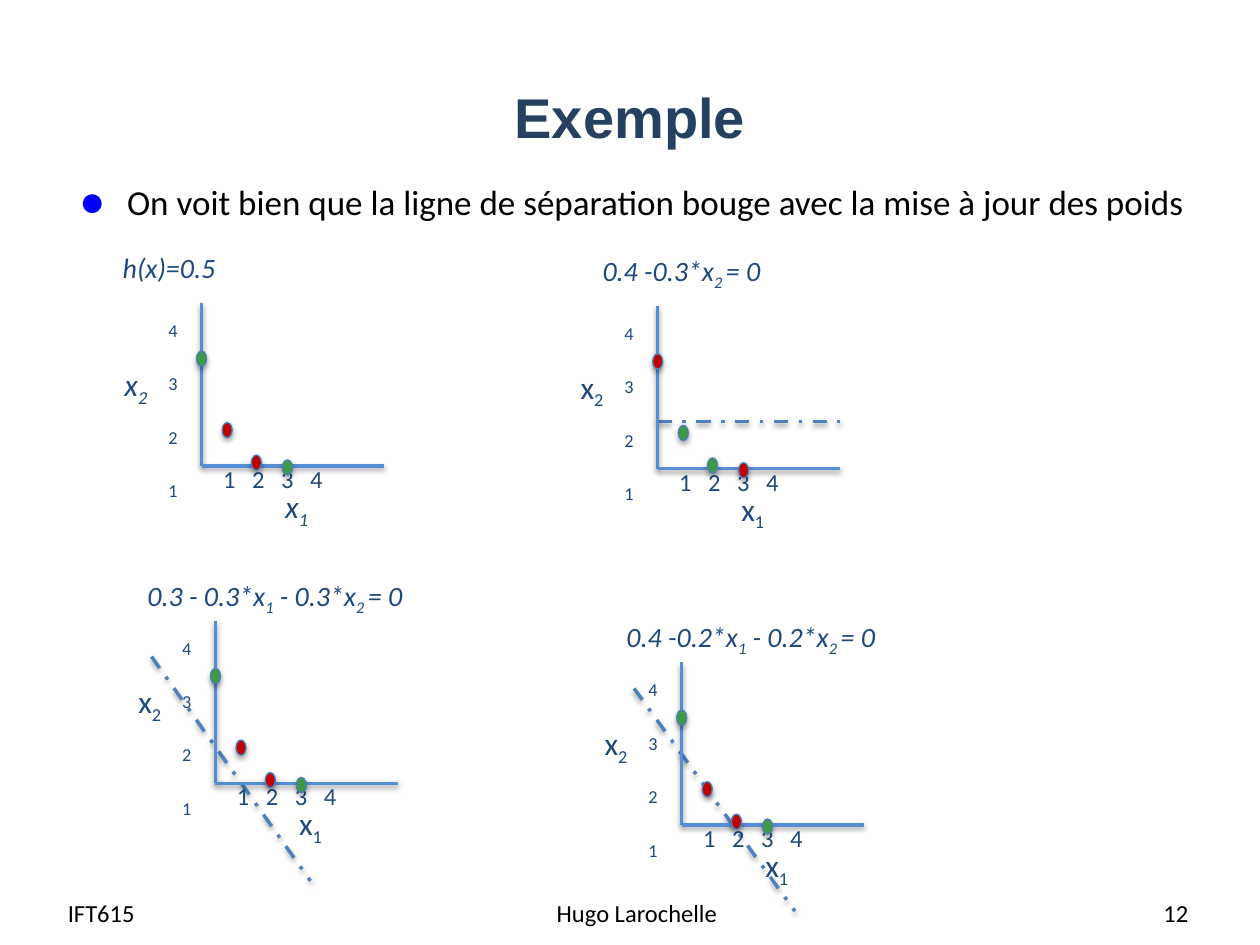
from dataclasses import dataclass
from lxml.etree import SubElement
from pptx import Presentation
from pptx.dml.color import RGBColor
from pptx.enum.dml import MSO_LINE
from pptx.enum.shapes import MSO_CONNECTOR, MSO_SHAPE
from pptx.enum.text import MSO_ANCHOR, MSO_AUTO_SIZE, PP_ALIGN
from pptx.oxml.ns import qn
from pptx.util import Inches, Pt


@dataclass(frozen=True)
class Theme:
    title: str = "254061"
    text: str = "000000"
    bullet: str = "0000FF"
    plot_text: str = "1F497D"
    axis: str = "558ED5"
    boundary: str = "4F81BD"
    dot_edge: str = "4B7EBC"
    red: str = "C00000"
    green: str = "3C9A41"
    title_size: int = 32
    body_size: int = 20
    label_size: int = 18
    equation_size: int = 16
    small_size: int = 14


THEME = Theme()
SLIDE_SIZE = (10, 7.5)
PLOT_SIZE = (14.5, 17.2)  # percent of the slide
DOT_SIZE = (0.08, 0.12)
TICK_PITCH = 0.23
DOT_PLACES = [(0.14, 0.78), (0.3, 0.98), (0, 0.34), (0.47, 1.01)]
RED_INSIDE = [THEME.red, THEME.red, THEME.green, THEME.green]
GREEN_INSIDE = [THEME.green, THEME.green, THEME.red, THEME.red]

# origin in percent of the slide; the rest in shares of the plot box
PLOTS = [
    dict(origin=(54.1, 70.1), equation="0.4 -0.2*x_1_ - 0.2*x_2 _= 0",
         equation_box=(-0.37, -0.3, 1.53), dots=RED_INSIDE,
         boundary=((-0.26, 0.16), (0.62, 1.53))),
    dict(origin=(16, 32.1), equation="h(x)=0.5",
         equation_box=(-0.5, -0.36, 0.66), dots=RED_INSIDE, label_italic=True),
    dict(origin=(52.2, 32.4), equation="0.4 -0.3*x_2 _= 0",
         equation_box=(-0.37, -0.36, 1.05), dots=GREEN_INSIDE,
         boundary=((0, 0.71), (1, 0.71))),
    dict(origin=(17.1, 65.7), equation="0.3 - 0.3*x_1_ - 0.3*x_2 _= 0",
         equation_box=(-0.44, -0.3, 1.59), dots=RED_INSIDE,
         boundary=((-0.35, 0.22), (0.52, 1.6))),
]


def percent(*box):
    """Turn percentages of the slide into inches, x and y in turn."""
    return [share * SLIDE_SIZE[i % 2] / 100 for i, share in enumerate(box)]


def apply(target, values):
    for name, value in values.items():
        setattr(target, name, value)


def format_font(font, size, color, name="Calibri", **values):
    apply(font, dict(size=Pt(size), name=name, **values))
    font.color.rgb = RGBColor.from_string(color)


def write_spans(para, text, size, color, **values):
    """Add text to a paragraph; pieces between underscores are subscripts."""
    for index, piece in enumerate(text.split("_")):
        if piece:
            span = para.add_run()
            span.text = piece
            format_font(span.font, size, color, **values)
            if index % 2:
                span.font._element.set("baseline", "-25000")


def add_text(shapes, box, lines, size, color, frame_format, para_format=None, **values):
    shape = shapes.add_textbox(*map(Inches, box))
    frame = shape.text_frame
    apply(frame, frame_format)
    for index, line in enumerate(lines):
        para = frame.paragraphs[0] if index == 0 else frame.add_paragraph()
        apply(para, para_format or {})
        if index == 0:
            para.space_before = Pt(0)
        write_spans(para, line, size, color, **values)
    return frame


def add_shadow(shape, alpha, distance):
    effects = SubElement(shape._element.spPr, qn("a:effectLst"))
    shadow = SubElement(effects, qn("a:outerShdw"), blurRad=str(Pt(3.1)),
                        dist=str(Pt(distance)), dir="5400000", rotWithShape="0")
    color = SubElement(shadow, qn("a:srgbClr"), val="000000")
    SubElement(color, qn("a:alpha"), val=str(alpha * 1000))


def add_line(shapes, start, end, color, dash=None):
    line = shapes.add_connector(MSO_CONNECTOR.STRAIGHT, *map(Inches, (*start, *end)))
    line.line.color.rgb = RGBColor.from_string(color)
    apply(line.line, dict(width=Pt(2), dash_style=dash))
    add_shadow(line, 38, 1.6)


def add_dot(shapes, center, color):
    corner = [middle - size / 2 for middle, size in zip(center, DOT_SIZE)]
    dot = shapes.add_shape(MSO_SHAPE.OVAL, *map(Inches, (*corner, *DOT_SIZE)))
    dot.fill.solid()
    dot.fill.fore_color.rgb = RGBColor.from_string(color)
    dot.line.color.rgb = RGBColor.from_string(THEME.dot_edge)
    dot.line.width = Pt(0.75)
    add_shadow(dot, 35, 1.8)


def add_plot(page, box, equation, equation_box, dots, boundary=None, label_italic=False):
    left, top, width, height = box
    shapes = page.shapes.add_group_shape().shapes
    hugging = dict(word_wrap=False, auto_size=MSO_AUTO_SIZE.SHAPE_TO_FIT_TEXT)

    def at(across, down):
        return left + across * width, top + down * height

    across, down, share = equation_box
    add_text(shapes, (*at(across, down), share * width, 0.37), [equation],
             THEME.equation_size, THEME.plot_text, hugging, italic=True)
    if boundary:
        add_line(shapes, at(*boundary[0]), at(*boundary[1]), THEME.boundary,
                 MSO_LINE.DASH_DOT)
    for end in [(0, 0), (1, 1)]:
        add_line(shapes, at(*end), at(0, 1), THEME.axis)
    for label, place in [("x_1_", (0.39, 1.09)), ("x_2_", (-0.49, 0.34))]:
        add_text(shapes, (*at(*place), 0.4, 0.4), [label], THEME.label_size,
                 THEME.plot_text, hugging, italic=label_italic)
    add_across_ticks(shapes, (*at(0.05, 0.95), 1, 0.34))
    add_text(shapes, (*at(-0.25, -0.07), 0.29, 1.16), ["_4_", "_3_", "_2_", "_1_"],
             THEME.label_size, THEME.plot_text, hugging,
             dict(space_before=Pt(3), space_after=Pt(3)))
    for place, color in zip(DOT_PLACES, dots):
        add_dot(shapes, at(*place), color)


def add_across_ticks(shapes, box):
    frame = add_text(shapes, box, ["1\t2\t3\t4"], THEME.small_size, THEME.plot_text,
                     dict(word_wrap=True, margin_right=0))
    tabs = SubElement(frame.paragraphs[0]._p.get_or_add_pPr(), qn("a:tabLst"))
    for step in range(1, 4):
        SubElement(tabs, qn("a:tab"), pos=str(Inches(step * TICK_PITCH)), algn="l")


def add_title(page, box, text):
    title = page.shapes.title
    apply(title, dict(zip(("left", "top", "width", "height"), map(Inches, box))))
    title.text_frame.vertical_anchor = MSO_ANCHOR.MIDDLE
    para = title.text_frame.paragraphs[0]
    para.alignment = PP_ALIGN.CENTER
    write_spans(para, text, THEME.title_size, THEME.title, name="Arial", bold=True)


def add_bullet(page, box, text):
    frame = add_text(page.shapes, box, [text], THEME.body_size, THEME.text,
                     dict(word_wrap=True))
    props = frame.paragraphs[0]._p.get_or_add_pPr()
    props.set("marL", str(Inches(0.38)))
    props.set("indent", str(Inches(-0.38)))
    SubElement(SubElement(props, qn("a:buClr")), qn("a:srgbClr"), val=THEME.bullet)
    SubElement(props, qn("a:buSzPct"), val="125000")
    SubElement(props, qn("a:buFont"), typeface="Arial")
    SubElement(props, qn("a:buChar"), char="●")


def add_footer(page, top, height):
    for left, width, text, side in [(4.4, 19.3, "IFT615", PP_ALIGN.LEFT),
                                    (34.7, 31.7, "Hugo Larochelle", PP_ALIGN.CENTER),
                                    (72, 23.3, "12", PP_ALIGN.RIGHT)]:
        add_text(page.shapes, percent(left, top, width, height), [text],
                 THEME.small_size, THEME.text,
                 dict(word_wrap=True, vertical_anchor=MSO_ANCHOR.MIDDLE),
                 dict(alignment=side))


def main():
    deck = Presentation()
    deck.slide_width, deck.slide_height = map(Inches, SLIDE_SIZE)
    page = deck.slides.add_slide(deck.slide_layouts[5])
    add_title(page, percent(5, 4, 90, 16.67), "Exemple")
    add_footer(page, 93.9, 5.3)
    add_bullet(page, percent(5.3, 18.4, 92.2, 7.9),
               "On voit bien que la ligne de séparation bouge avec la mise à jour des poids")
    for plot in PLOTS:
        parts = dict(plot)
        add_plot(page, percent(*parts.pop("origin"), *PLOT_SIZE), **parts)
    deck.save("out.pptx")


if __name__ == "__main__":
    main()
